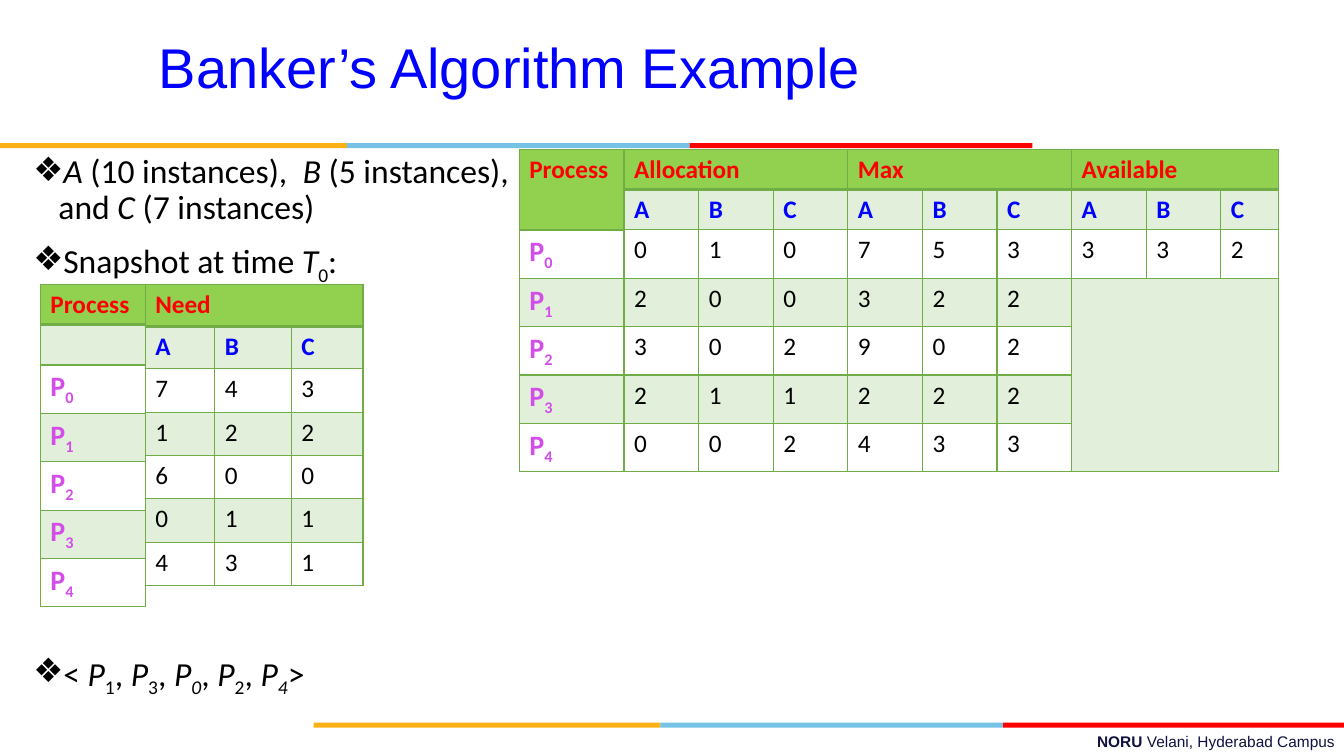
from lxml.etree import SubElement
from pptx import Presentation
from pptx.dml.color import RGBColor
from pptx.enum.shapes import MSO_SHAPE as SHAPE
from pptx.enum.text import MSO_ANCHOR as ANCHOR, MSO_AUTO_SIZE as AUTO, PP_ALIGN as ALIGN
from pptx.oxml import parse_xml
from pptx.oxml.ns import nsdecls, qn
from pptx.util import Inches, Pt

COLORS = {
    "gold": "FCB017", "sky": "76C2E5", "red": "FF0000", "blue": "0000FF",
    "navy": "101141", "black": "000000", "violet": "D34DE9",
    "header": "92D050", "tint": "E2EFDA", "border": "70AD47",
}


def rgb(name):
    return RGBColor.from_string(COLORS[name])


def write(p, text, size=18, color="black", font="Calibri", bold=False, italic=False, sub=False):
    r = p.add_run()
    r.text = text
    r.font.size, r.font.name = Pt(size), font
    r.font.bold, r.font.italic = bold, italic
    r.font.color.rgb = rgb(color)
    if sub:
        r.font._element.set("baseline", "-25000")


prs = Presentation()
prs.slide_width, prs.slide_height = Inches(13.33), Inches(7.5)
s = prs.slides.add_slide(prs.slide_layouts[1])

# Three-colour stripes
for left, top in ((0, 1.42), (3.11, 7.17)):
    for color, width in (("gold", 3.44), ("sky", 3.4), ("red", 3.4)):
        sp = s.shapes.add_shape(SHAPE.RECTANGLE, Inches(left), Inches(top),
                                Inches(width), Inches(0.05))
        sp.shadow.inherit = False
        sp.fill.solid()
        sp.fill.fore_color.rgb = rgb(color)
        sp.line.fill.background()
        left += width

# Campus footer
footer = s.shapes.add_textbox(Inches(4.78), Inches(7.21), Inches(8.56), Inches(0.29))
footer.text_frame.word_wrap = True
p = footer.text_frame.paragraphs[0]
p.alignment = ALIGN.RIGHT
write(p, "NORU ", size=11, color="navy", font="Arial", bold=True)
write(p, "Velani, Hyderabad Campus", size=11, color="navy", font="Arial")

# Title
title = s.shapes.title
title.left, title.top, title.width, title.height = map(Inches, (0.4, 0.27, 9.3, 0.77))
title.text_frame.auto_size = AUTO.NONE
p = title.text_frame.paragraphs[0]
p.alignment = ALIGN.CENTER
write(p, "Banker’s Algorithm Example", size=40, color="blue", font="Arial")

# Bullets: (space before, runs), where i is italic and s is subscript
bullets = [
    (10, [("A ", "i"), ("(10 instances),  ", ""), ("B", "i"), (" (5 instances), and ", ""),
          ("C", "i"), (" (7 instances)", "")]),
    (10, [("Snapshot at time ", ""), ("T", "i"), ("0", "s"), (":", "")]),
    (265, [("< ", ""), ("P", "i"), ("1", "s"), (", ", ""), ("P", "i"), ("3", "s"), (", ", ""),
           ("P", "i"), ("0", "is"), (", ", ""), ("P", "i"), ("2", "s"), (", ", ""),
           ("P", "i"), ("4", "is"), (">", "")]),
]
body = s.placeholders[1]
body.left, body.top, body.width, body.height = map(Inches, (0.23, 1.48, 4.93, 2.47))
tf = body.text_frame
tf.auto_size, tf.vertical_anchor = AUTO.NONE, ANCHOR.TOP
for i, (gap, runs) in enumerate(bullets):
    p = tf.add_paragraph() if i else tf.paragraphs[0]
    p.line_spacing, p.space_before = 0.9, Pt(gap)
    pPr = p._p.get_or_add_pPr()
    pPr.set("marL", str(Inches(0.25)))
    pPr.set("indent", str(-Inches(0.25)))
    SubElement(pPr, qn("a:buChar")).set("char", "❖")
    for text, style in runs:
        write(p, text, size=24, italic="i" in style, sub="s" in style)

# Tables: position, column widths, row heights, merges (first and last cell), rows
processes = ["P0", "P1", "P2", "P3", "P4"]
allocation = ["0 1 0", "2 0 0", "3 0 2", "2 1 1", "0 0 2"]
maximum = ["7 5 3", "3 2 2", "9 0 2", "2 2 2", "4 3 3"]
available = ["3 3 2"] + [""] * 4
need = ["7 4 3", "1 2 2", "6 0 0", "0 1 1", "4 3 1"]
process_heights = [0.4] * 2 + [0.48] * 5
snapshot_rows = [f"{name} {a} {m} {v}".split()
                 for name, a, m, v in zip(processes, allocation, maximum, available)]
tables = [
    (5.15, 1.48, [1.04] + [0.74] * 8 + [0.57], process_heights,
     [(0, 0, 1, 0), (0, 1, 0, 3), (0, 4, 0, 6), (0, 7, 0, 9), (3, 7, 6, 9)],
     [["Process", "Allocation", "", "", "Max", "", "", "Available"],
      [""] + list("ABC") * 3] + snapshot_rows),
    (1.44, 2.82, [0.69, 0.76, 0.71], [0.42] * 2 + [0.43] * 5, [(0, 0, 0, 2)],
     [["Need"], list("ABC")] + [row.split() for row in need]),
    (0.4, 2.82, [1.04], process_heights, [],
     [["Process"], [""]] + [[name] for name in processes]),
]
for left, top, widths, heights, merges, rows in tables:
    table = s.shapes.add_table(len(heights), len(widths), Inches(left), Inches(top),
                               Inches(sum(widths)), Inches(sum(heights))).table
    table.first_row = table.horz_banding = False
    for column, width in zip(table.columns, widths):
        column.width = Inches(width)
    for row, height in zip(table.rows, heights):
        row.height = Inches(height)
    for r1, c1, r2, c2 in merges:
        table.cell(r1, c1).merge(table.cell(r2, c2))

    for r in range(len(heights)):
        for c in range(len(widths)):
            cell = table.cell(r, c)
            if r % 2 or r == 0:
                cell.fill.solid()
                cell.fill.fore_color.rgb = rgb("tint" if r else "header")
            else:
                cell.fill.background()

            # Borders, heavier below the header
            tcPr = cell._tc.get_or_add_tcPr()
            for i, side in enumerate("LRTB"):
                points = 2 if r == 0 and side == "B" else 1
                tcPr.insert(i, parse_xml(
                    f'<a:ln{side} {nsdecls("a")} w="{Pt(points)}"><a:solidFill>'
                    f'<a:srgbClr val="{COLORS["border"]}"/></a:solidFill></a:ln{side}>'))

            text = rows[r][c] if c < len(rows[r]) else ""
            p = cell.text_frame.paragraphs[0]
            if text in processes:
                write(p, "P", size=20, color="violet", bold=True)
                write(p, text[1], size=20, color="violet", bold=True, sub=True)
            elif text:
                write(p, text, color=("red", "blue")[r] if r < 2 else "black", bold=r < 2)

prs.save("out.pptx")
